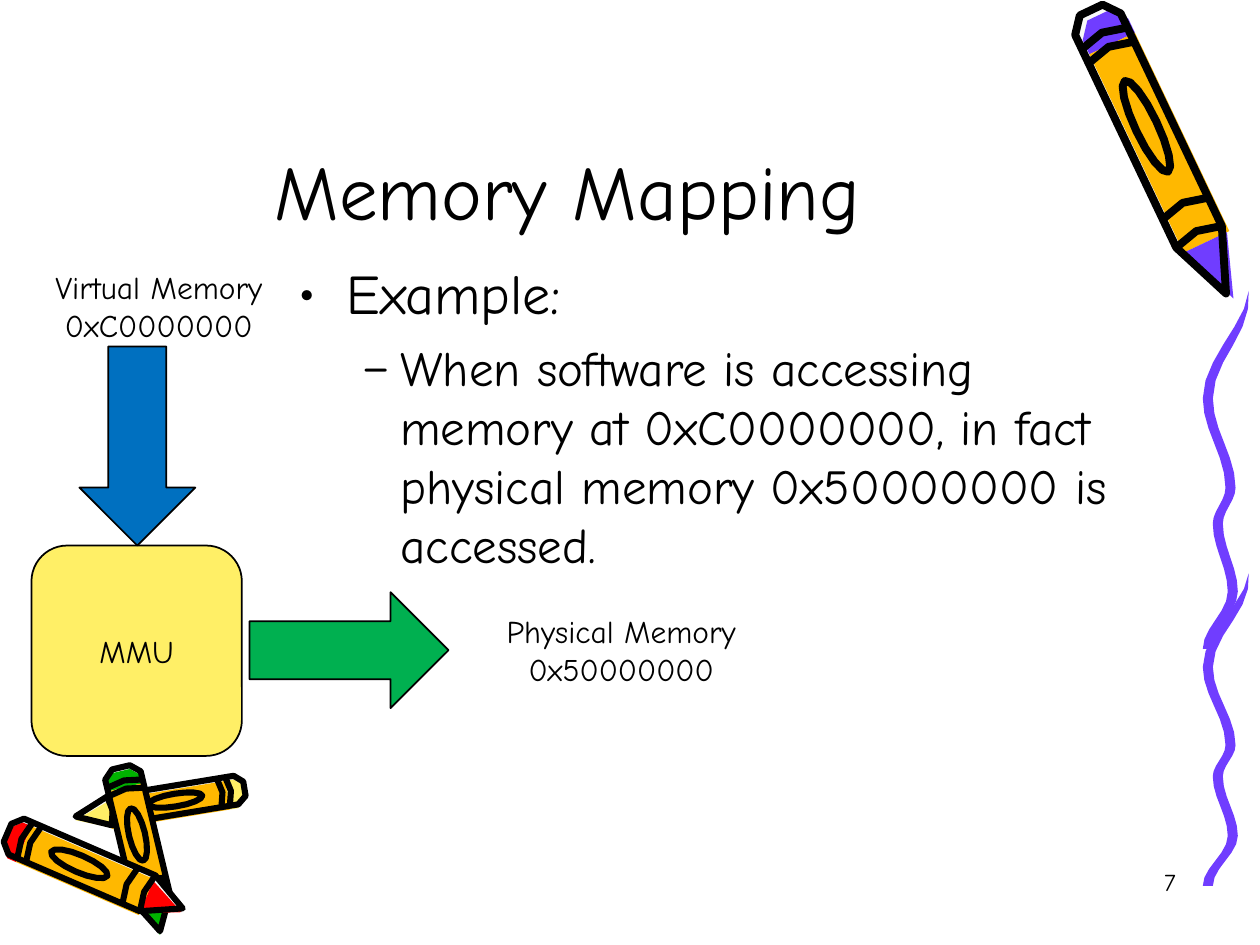
import dataclasses
import math

import lxml.etree
import pptx
import pptx.dml.color
import pptx.enum.shapes
import pptx.enum.text
import pptx.oxml.ns
import pptx.util
from pptx.util import Inches

FONT = "Comic Neue"
BLACK, PURPLE, ORANGE, YELLOW = "000000", "703DFF", "FFB800", "FFEF66"
RED, GREEN, PALE = "FF0000", "00B200", "F8F8F8"
ALIGN = pptx.enum.text.PP_ALIGN
ANCHOR = pptx.enum.text.MSO_ANCHOR
SHAPE = pptx.enum.shapes.MSO_SHAPE


@dataclasses.dataclass
class Crayon:
    """A crayon on the line from its blunt end to its tip, in inches."""
    blunt: tuple
    tip: tuple
    width: float
    color: str
    ink: float
    paint_shift: tuple

    def spots(self, parts, shift=(0, 0)):
        """Turn (share of length, share of width from the axis) into page points."""
        (left, top), (right, bottom) = self.blunt, self.tip
        run, rise = right - left, bottom - top
        scale = self.width / math.hypot(run, rise)
        return [(left + run * along - rise * scale * across + shift[0],
                 top + rise * along + run * scale * across + shift[1])
                for along, across in parts]


CRAYONS = [
    Crayon((8.66, 0.08), (9.73, 2.33), 0.4, PURPLE, 4.5, (0.06, 0.04)),
    Crayon((1.94, 6.26), (0.6, 6.48), 0.23, YELLOW, 3.5, (0, 0.03)),
    Crayon((0.96, 6.09), (1.27, 7.39), 0.29, GREEN, 3.5, (0, 0.03)),
    Crayon((0.06, 6.61), (1.45, 7.21), 0.31, RED, 3.5, (-0.01, 0.03)),
]

# Crayon parts as (share of length, share of width from the axis).
CAP_END, SHAFT_END = 0.1, 0.8
BANDS = (CAP_END, 0.15, 0.7, SHAFT_END)
BLUNT_END = [(0.05, 0.5), (0, 0.25), (0, -0.25), (0.05, -0.5)]
CAP = BLUNT_END + [(CAP_END, -0.5), (CAP_END, 0.5)]
SHAFT = [(CAP_END, 0.5), (CAP_END, -0.5), (SHAFT_END, -0.5), (SHAFT_END, 0.5)]
CONE = [(SHAFT_END, 0.45), (SHAFT_END, -0.45), (1, 0)]
SILHOUETTE = BLUNT_END + [(SHAFT_END, -0.5), (1, 0), (SHAFT_END, 0.5)]
LABEL_CENTER, LABEL_LENGTH, LABEL_WIDTH, LABEL_CORNERS = 0.41, 0.32, 0.44, 16

# Where the ribbon turns, as shares of its width and height.
RIBBON_TURNS = [(1, 0), (0.1, 0.3), (0.6, 0.55), (0.32, 0.65), (0.65, 0.84), (0.1, 1)]
RIBBON_THICKNESS, RIBBON_STEPS = 0.08, 6


def rgb(color):
    return pptx.dml.color.RGBColor.from_string(color)


def set_stroke(shape, color, width):
    shape.line.color.rgb = rgb(color)
    shape.line.width = pptx.util.Pt(width)


def add_outline(page, points, fill=None, ink=None, close=True):
    """Draw a polygon with a fill colour, a black line of ink points, or both."""
    corners = [(Inches(x), Inches(y)) for x, y in points]
    builder = page.shapes.build_freeform(*corners[0])
    builder.add_line_segments(corners[1:], close=close)
    shape = builder.convert_to_shape()
    shape.shadow.inherit = False
    if fill:
        shape.fill.solid()
        shape.fill.fore_color.rgb = rgb(fill)
    else:
        shape.fill.background()
    if ink:
        set_stroke(shape, BLACK, ink)
    else:
        shape.line.fill.background()


def add_crayon(page, crayon):
    add_outline(page, crayon.spots(SILHOUETTE), PALE)
    for part, color in ((CAP, crayon.color), (SHAFT, ORANGE), (CONE, crayon.color)):
        add_outline(page, crayon.spots(part, crayon.paint_shift), color)
    add_outline(page, crayon.spots(SILHOUETTE), ink=crayon.ink)
    for along in BANDS:
        bend = [(along, 0.5), (along - 0.02, 0), (along, -0.5)]
        add_outline(page, crayon.spots(bend), ink=crayon.ink, close=False)
    angles = [2 * math.pi * corner / LABEL_CORNERS for corner in range(LABEL_CORNERS)]
    label = [(LABEL_CENTER + LABEL_LENGTH / 2 * math.cos(angle),
              LABEL_WIDTH / 2 * math.sin(angle)) for angle in angles]
    add_outline(page, crayon.spots(label), ink=crayon.ink)


def add_ribbon(page, left, top, width, height):
    """Draw a wavy band that eases from turn to turn and starts as a point."""
    middle = []
    for (x, y), (next_x, next_y) in zip(RIBBON_TURNS, RIBBON_TURNS[1:]):
        for step in range(RIBBON_STEPS):
            share = step / RIBBON_STEPS
            ease = (1 - math.cos(math.pi * share)) / 2
            middle.append((x + (next_x - x) * ease, y + (next_y - y) * share))
    middle.append(RIBBON_TURNS[-1])
    sides = {-1: [], 1: []}
    for side, points in sides.items():
        for x, y in middle:
            half = RIBBON_THICKNESS / 2 * min(1, y * 8)
            points.append((left + width * x + side * half, top + height * y))
    add_outline(page, sides[-1] + sides[1][::-1], PURPLE)


def set_font(para, size):
    para.font.name = FONT
    para.font.size = pptx.util.Pt(size)
    para.font.color.rgb = rgb(BLACK)


def add_shape(page, kind, place, color, adjustments, rotation=0):
    shape = page.shapes.add_shape(kind, *map(Inches, place))
    shape.shadow.inherit = False
    for index, value in enumerate(adjustments):
        shape.adjustments[index] = value
    shape.rotation = rotation
    shape.fill.solid()
    shape.fill.fore_color.rgb = rgb(color)
    set_stroke(shape, BLACK, 1)
    return shape


def add_text(page, place, lines, size, align, anchor=ANCHOR.TOP, wrap=True):
    frame = page.shapes.add_textbox(*map(Inches, place)).text_frame
    frame.word_wrap = wrap
    frame.vertical_anchor = anchor
    frame.text = "\n".join(lines)
    for para in frame.paragraphs:
        para.alignment = align
        set_font(para, size)


def add_bullet(para, sign, margin, hang):
    properties = para._p.get_or_add_pPr()
    properties.set("marL", str(Inches(margin)))
    properties.set("indent", str(-Inches(hang)))
    for tag, name, value in (("a:buFont", "typeface", FONT), ("a:buChar", "char", sign)):
        lxml.etree.SubElement(properties, pptx.oxml.ns.qn(tag)).set(name, value)


def add_example(page):
    box = page.shapes.add_textbox(*map(Inches, (2.27, 2, 6.89, 2.81)))
    box.text_frame.word_wrap = True
    heading, detail = box.text_frame.paragraphs[0], box.text_frame.add_paragraph()
    heading.text = "Example:"
    detail.text = ("When software is accessing memory at 0xC0000000, "
                   "in fact physical memory 0x50000000 is accessed.")
    detail.level = 1
    detail.space_before = pptx.util.Pt(7)
    add_bullet(heading, "•", 0.38, 0.38)
    add_bullet(detail, "–", 0.81, 0.31)
    set_font(heading, 32)
    set_font(detail, 28)


def add_mapping_diagram(page):
    mmu = add_shape(page, SHAPE.ROUNDED_RECTANGLE, (0.25, 4.33, 1.67, 1.67), YELLOW, [0.17])
    mmu.text_frame.text = "MMU"
    mmu.text_frame.vertical_anchor = ANCHOR.MIDDLE
    mmu.text_frame.paragraphs[0].alignment = ALIGN.CENTER
    set_font(mmu.text_frame.paragraphs[0], 18)
    for left, top, color, rotation in ((0.63, 2.75, "0070C0", 0), (2.31, 4.37, "00B050", 270)):
        add_shape(page, SHAPE.DOWN_ARROW, (left, top, 0.92, 1.58), color, [0.5, 0.5], rotation)
    for place, lines in (((0.34, 2.08, 1.84, 0.7), ["Virtual Memory", "0xC0000000"]),
                         ((3.92, 4.81, 2.02, 0.7), ["Physical Memory", "0x50000000"])):
        add_text(page, place, lines, 18, ALIGN.CENTER, wrap=False)


def main():
    deck = pptx.Presentation()
    deck.slide_width, deck.slide_height = Inches(10), Inches(7.5)
    page = deck.slides.add_slide(deck.slide_layouts[6])
    for crayon in CRAYONS:
        add_crayon(page, crayon)
    for top, height in ((4.55, 2.48), (2.31, 2.84)):
        add_ribbon(page, 9.55, top, 0.36, height)
    add_text(page, (0.75, 0.17, 7.51, 1.75), ["Memory Mapping"], 44, ALIGN.CENTER, ANCHOR.BOTTOM)
    add_mapping_diagram(page)
    add_example(page)
    add_text(page, (7.35, 6.83, 2.08, 0.5), ["7"], 14, ALIGN.RIGHT)
    deck.save("out.pptx")


if __name__ == "__main__":
    main()
